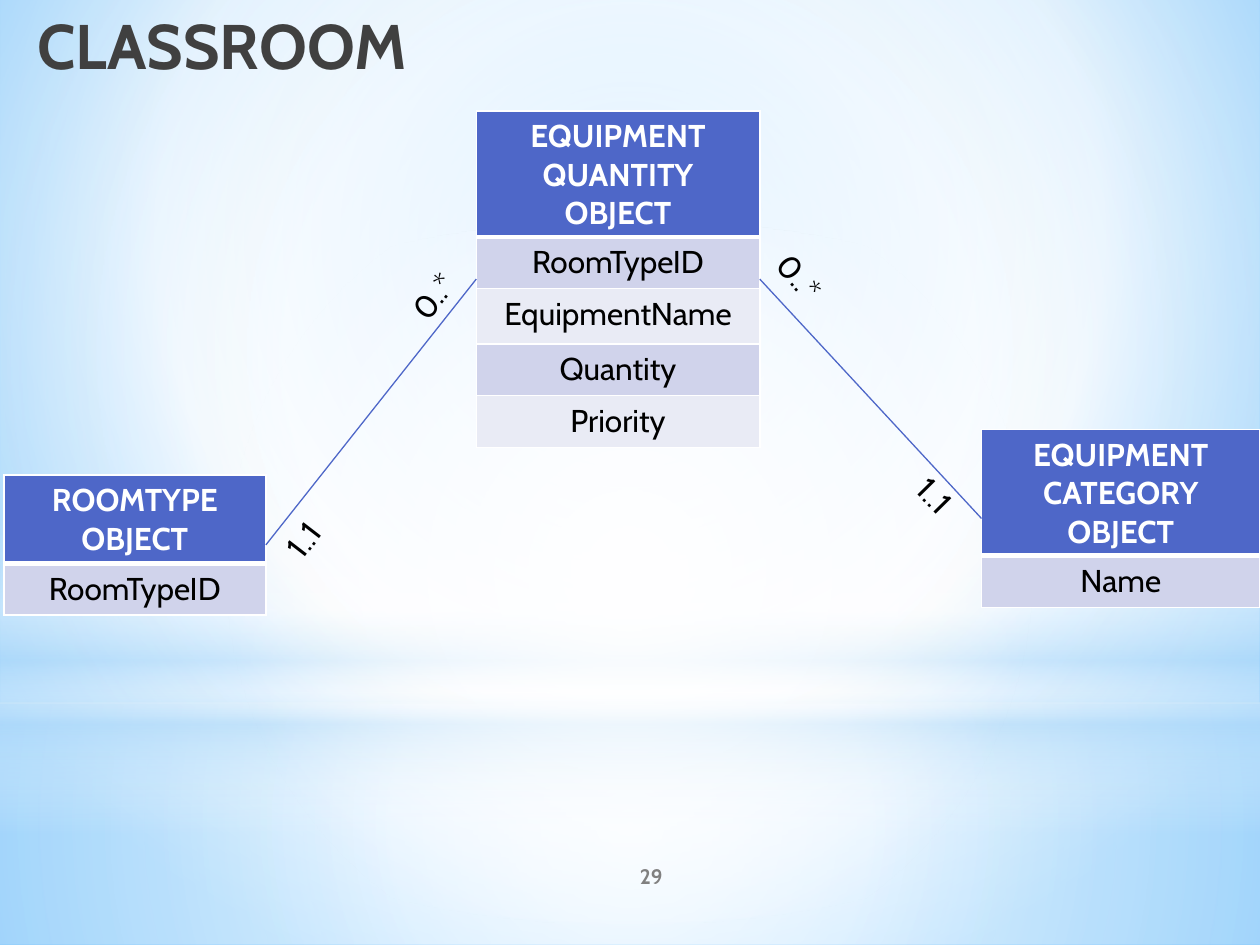
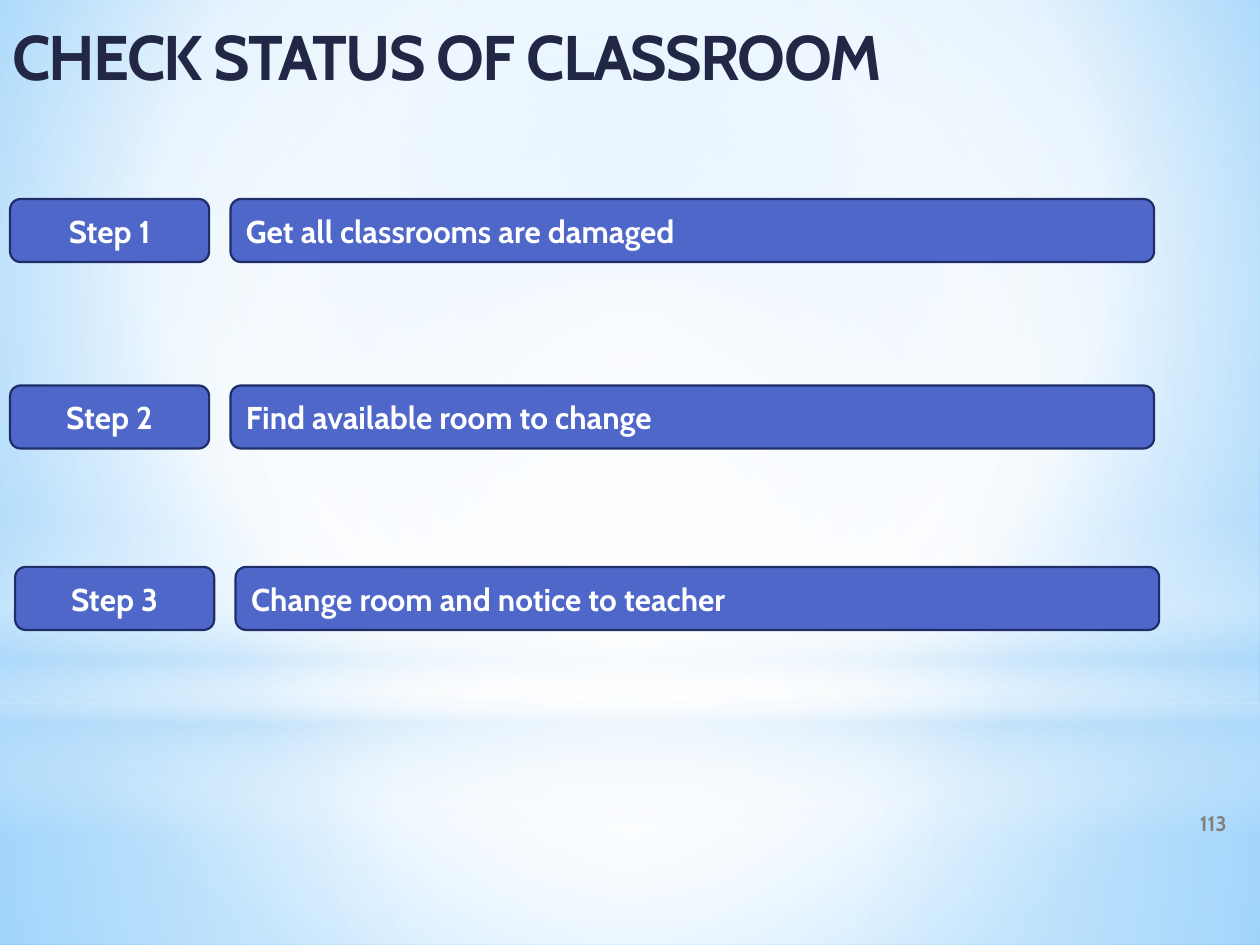
from lxml.etree import SubElement
from pptx import Presentation
from pptx.dml.color import RGBColor
from pptx.enum.shapes import MSO_CONNECTOR, MSO_SHAPE
from pptx.enum.text import MSO_ANCHOR, MSO_AUTO_SIZE, PP_ALIGN
from pptx.oxml import parse_xml
from pptx.oxml.ns import nsdecls, qn
from pptx.util import Inches, Pt

FONT = "Cabin"
WHITE = RGBColor(0xFF, 0xFF, 0xFF)
BLACK = RGBColor(0, 0, 0)
BLUE = RGBColor(0x4E, 0x67, 0xC8)
OUTLINE = RGBColor(0x1F, 0x2E, 0x69)
NAVY = RGBColor(0x21, 0x27, 0x45)
CHARCOAL = RGBColor(0x40, 0x40, 0x40)
GRAY = RGBColor(0x80, 0x80, 0x80)
ROW_DARK = RGBColor(0xD0, 0xD3, 0xEB)
ROW_LIGHT = RGBColor(0xE9, 0xEB, 0xF5)
SKY = RGBColor(0x9E, 0xD5, 0xFF)
DEEP_SKY = RGBColor(0x5B, 0xB9, 0xFF)
HAZE = RGBColor(0xB4, 0xDC, 0xFA)

CENTER = (50, 50, 50, 50)
BANDS = [
    (MSO_SHAPE.RECTANGLE, 5.58, 1.92,
     [(0, WHITE, 91), (37, WHITE, 76), (100, HAZE, 79)], CENTER),
    (MSO_SHAPE.RECTANGLE, 0, 5.58,
     [(0, WHITE, 89), (48, WHITE, 62), (100, HAZE, 79)], CENTER),
    (MSO_SHAPE.RECTANGLE, 4.12, 2.5,
     [(0, WHITE, 0), (29, WHITE, 30), (45, HAZE, 40),
      (55, WHITE, 26), (65, HAZE, 60), (100, WHITE, 0)], None),
    (MSO_SHAPE.OVAL, 1.75, 5.58, [(0, WHITE, 100), (56, WHITE, 0)], CENTER),
]


def set_gradient(fill, element, stops, focus=None):
    fill.solid()
    fill.fore_color.rgb = WHITE
    solid = element.find(".//" + qn("a:solidFill"))
    stop_xml = "".join(
        f'<a:gs pos="{pos * 1000}"><a:srgbClr val="{color}">'
        f'<a:alpha val="{alpha * 1000}"/></a:srgbClr></a:gs>'
        for pos, color, alpha in stops)
    if focus:
        sides = " ".join(f'{side}="{v * 1000}"' for side, v in zip("ltrb", focus))
        direction = f'<a:path path="circle"><a:fillToRect {sides}/></a:path>'
    else:
        direction = '<a:lin ang="5400000" scaled="0"/>'
    gradient = parse_xml(
        f'<a:gradFill {nsdecls("a")} rotWithShape="1">'
        f'<a:gsLst>{stop_xml}</a:gsLst>{direction}</a:gradFill>')
    solid.getparent().replace(solid, gradient)


def set_text(tf, text, size, color, bold=False, align=PP_ALIGN.LEFT):
    p = tf.paragraphs[0]
    p.text = text
    p.alignment = align
    p.font.name = FONT
    p.font.size = Pt(size)
    p.font.bold = bold
    p.font.color.rgb = color
    return p


def add_text(s, box, text, size, color, bold=False, align=PP_ALIGN.LEFT,
             anchor=MSO_ANCHOR.TOP):
    sp = s.shapes.add_textbox(*map(Inches, box))
    tf = sp.text_frame
    tf.word_wrap = True
    tf.vertical_anchor = anchor
    set_text(tf, text, size, color, bold, align)
    return sp


def add_title(s, text, width, color, align=PP_ALIGN.LEFT,
              anchor=MSO_ANCHOR.MIDDLE):
    return add_text(s, (0, 0, width, 0.88), text, 36, color, True, align, anchor)


def add_page_number(s, box, number):
    add_text(s, box, number, 12, GRAY, True, PP_ALIGN.CENTER, MSO_ANCHOR.MIDDLE)


def new_slide(prs):
    s = prs.slides.add_slide(prs.slide_layouts[6])
    for kind, top, height, stops, focus in BANDS:
        sp = s.shapes.add_shape(kind, 0, Inches(top), Inches(10), Inches(height))
        sp.shadow.inherit = False
        sp.line.fill.background()
        set_gradient(sp.fill, sp.element, stops, focus)
    return s


def set_borders(cell, bottom):
    tcPr = cell._tc.get_or_add_tcPr()
    for i, (side, width) in enumerate(
            [("L", 1), ("R", 1), ("T", 1), ("B", bottom)]):
        tcPr.insert(i, parse_xml(
            f'<a:ln{side} {nsdecls("a")} w="{Pt(width)}"><a:solidFill>'
            f'<a:srgbClr val="{WHITE}"/></a:solidFill></a:ln{side}>'))


def add_entity(s, left, top, width, heights, labels):
    frame = s.shapes.add_table(len(labels), 1, Inches(left), Inches(top),
                               Inches(width), Inches(sum(heights)))
    table = frame.table
    for i, (height, label) in enumerate(zip(heights, labels)):
        header = i == 0
        table.rows[i].height = Inches(height)
        cell = table.cell(i, 0)
        cell.fill.solid()
        cell.fill.fore_color.rgb = (
            BLUE if header else ROW_DARK if i % 2 else ROW_LIGHT)
        set_borders(cell, 3 if header else 1)
        set_text(cell.text_frame, label, 18, WHITE if header else BLACK,
                 header, PP_ALIGN.CENTER)
    return frame


def add_relation(s, left_entity, right_entity):
    line = s.shapes.add_connector(MSO_CONNECTOR.STRAIGHT, 0, 0, 0, 0)
    line.begin_connect(left_entity, 3)
    line.end_connect(right_entity, 1)
    line.line.color.rgb = BLUE
    line.line.width = Pt(0.75)
    SubElement(line.element.spPr, qn("a:effectLst"))


def add_multiplicity(s, left, top, rotation, text):
    sp = add_text(s, (left, top, 0.58, 0.4), text, 18, BLACK)
    sp.text_frame.word_wrap = False
    sp.text_frame.auto_size = MSO_AUTO_SIZE.SHAPE_TO_FIT_TEXT
    sp.rotation = rotation


def add_bar(s, left, top, width, text, align):
    sp = s.shapes.add_shape(MSO_SHAPE.ROUNDED_RECTANGLE, Inches(left),
                            Inches(top), Inches(width), Inches(0.5))
    sp.shadow.inherit = False
    sp.fill.solid()
    sp.fill.fore_color.rgb = BLUE
    sp.line.color.rgb = OUTLINE
    sp.line.width = Pt(1.25)
    sp.text_frame.word_wrap = True
    sp.text_frame.vertical_anchor = MSO_ANCHOR.MIDDLE
    set_text(sp.text_frame, text, 18, WHITE, True, align)


def add_step(s, left, top, number, text):
    add_bar(s, left, top, 1.58, f"Step {number}", PP_ALIGN.CENTER)
    add_bar(s, left + 1.75, top, 7.33, text, PP_ALIGN.LEFT)


def build_classroom(prs):
    s = new_slide(prs)
    add_page_number(s, (4.17, 6.75, 2, 0.4), "29")
    room_type = add_entity(s, 0.03, 3.77, 2.08, [0.7, 0.41],
                           ["ROOMTYPE OBJECT", "RoomTypeID"])
    category = add_entity(s, 7.79, 3.41, 2.21, [1, 0.41],
                          ["EQUIPMENT CATEGORY OBJECT", "Name"])
    quantity = add_entity(s, 3.78, 0.88, 2.25, [1, 0.41, 0.44, 0.41, 0.41],
                          ["EQUIPMENT QUANTITY OBJECT", "RoomTypeID",
                           "EquipmentName", "Quantity", "Priority"])
    add_relation(s, room_type, quantity)
    add_relation(s, quantity, category)
    for left, top, rotation, text in [
            (2.15, 4.04, 307.6, "1..1"), (3.15, 2.15, 308, "0..*"),
            (6.06, 2, 49.9, "0..*"), (7.17, 3.77, 45.4, "1..1")]:
        add_multiplicity(s, left, top, rotation, text)
    add_title(s, "CLASSROOM", 3.33, CHARCOAL, PP_ALIGN.RIGHT, MSO_ANCHOR.TOP)


def build_check_status(prs):
    s = new_slide(prs)
    add_page_number(s, (9.33, 6.32, 0.6, 0.43), "113")
    steps = [(0.08, 1.58, "Get all classrooms are damaged"),
             (0.08, 3.06, "Find available room to change"),
             (0.12, 4.5, "Change room and notice to teacher")]
    for number, (left, top, text) in enumerate(steps, 1):
        add_step(s, left, top, number, text)
    title = add_title(s, "CHECK STATUS OF CLASSROOM", 7.17, NAVY)
    r = title.text_frame.paragraphs[0].runs[0]
    r._r.get_or_add_rPr().set("spc", "-100")


def main():
    prs = Presentation()
    prs.slide_width = Inches(10)
    prs.slide_height = Inches(7.5)
    master = prs.slide_master
    set_gradient(master.background.fill, master.element,
                 [(0, SKY, 100), (60, WHITE, 100), (100, DEEP_SKY, 100)],
                 (20, 10, 20, 60))
    build_classroom(prs)
    build_check_status(prs)
    prs.save("out.pptx")


if __name__ == "__main__":
    main()
